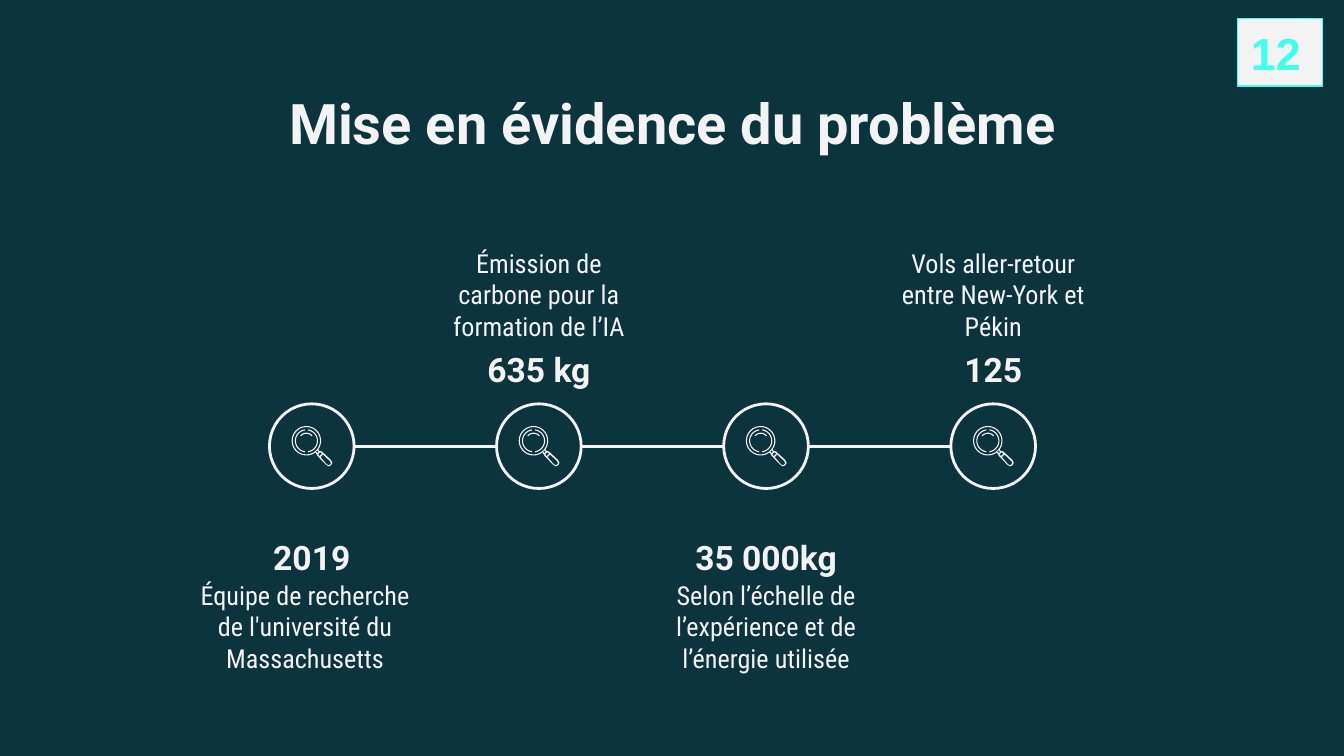
"""Build the timeline slide that presents the carbon cost of training AI."""
import dataclasses
import math

import pptx
import pptx.dml.color
import pptx.enum.shapes
import pptx.enum.text
import pptx.oxml
import pptx.util

Inches = pptx.util.Inches
Anchor = pptx.enum.text.MSO_ANCHOR
Align = pptx.enum.text.PP_ALIGN
Shape = pptx.enum.shapes.MSO_SHAPE


@dataclasses.dataclass(frozen=True)
class Theme:
    background = pptx.dml.color.RGBColor.from_string("0C343D")
    light = pptx.dml.color.RGBColor.from_string("F3F3F3")
    badge_line = pptx.dml.color.RGBColor.from_string("42FFEE")
    badge_text = pptx.dml.color.RGBColor.from_string("41FFED")
    heading_font = "Roboto"
    body_font = "Roboto Condensed"
    badge_font = "Arial"
    title_size = pptx.util.Pt(30)
    badge_size = pptx.util.Pt(24)
    figure_size = pptx.util.Pt(18)
    body_size = pptx.util.Pt(14)
    space_after = pptx.util.Pt(16)
    line_width = pptx.util.Pt(1.5)
    badge_line_width = pptx.util.Pt(0.75)


def write_text(shape, text, font, size, bold=True, color=Theme.light, align=Align.CENTER,
               anchor=Anchor.TOP, insets=(0.1, 0.1, 0.1, 0.1), space_after=None):
    frame = shape.text_frame
    frame.text = text
    frame.word_wrap = True
    frame.vertical_anchor = anchor
    frame.margin_left, frame.margin_top, frame.margin_right, frame.margin_bottom = map(Inches, insets)
    paragraph = frame.paragraphs[0]
    paragraph.alignment = align
    paragraph.space_after = space_after
    run_font = paragraph.runs[0].font
    run_font.name, run_font.size, run_font.bold = font, size, bold
    run_font.color.rgb = color


def arc(radius, start, end):
    angles = [math.radians(start + (end - start) * step / 24) for step in range(25)]
    return [(radius * math.cos(angle), radius * math.sin(angle)) for angle in angles]


presentation = pptx.Presentation()
presentation.slide_width = Inches(10)
presentation.slide_height = presentation.slide_width * 9 // 16
slide = presentation.slides.add_slide(presentation.slide_layouts[6])
slide.background.fill.solid()
slide.background.fill.fore_color.rgb = Theme.background

title = slide.shapes.add_textbox(Inches(0.79), Inches(0.56), Inches(8.43), Inches(0.63))
write_text(title, "Mise en évidence du problème", Theme.heading_font, Theme.title_size)

first_center, column = 2.32, 1.69
circle_size, axis = 0.63, 3.32
circle_top = axis - circle_size / 2
figure_width, figure_height = 1.81, 0.41
body_insets, figure_insets = (0.1, 0.1, 0.1, 0), (0.1, 0.28, 0.1, 0)
rows = {
    "above": (2.4, 1.46, 1.08, Anchor.BOTTOM),
    "below": (3.8, 4.21, 0.86, Anchor.TOP),
}
milestones = [
    ("2019", "Équipe de recherche de l'université du Massachusetts", "below", 1.81, -0.05),
    ("635 kg", "Émission de carbone pour la formation de l’IA", "above", 1.68, 0),
    ("35 000kg", "Selon l’échelle de l’expérience et de l’énergie utilisée", "below", 1.68, 0),
    ("125", "Vols aller-retour entre New-York et Pékin", "above", 1.68, 0),
]

handle = [(7.3, 9.6), (8.3, 11.3), (14.5, 17.8), (16.5, 19), (18.3, 18.3), (19.3, 16.5),
          (18.3, 14.3), (11.5, 8), (9.5, 7.5)]
neck = [(7.9, 7.1), (9.2, 8.3), (8.3, 9.2), (7.1, 7.9)]
ferrule = [(10.4, 8.5), (11.6, 9.6), (9.8, 11.5), (8.7, 10)]
grip = [(12.3, 10.2), (17.6, 15.2), (18.2, 16.7), (17.6, 17.7), (16.5, 18.2), (15, 17.4), (10.5, 12.2)]
magnifier = [
    [arc(6, 220, 320) + arc(5.2, 320, 220)],
    [arc(11, 52, 396)[::-1] + handle, arc(10.2, 0, 360), neck, ferrule, grip],
    [arc(8.6, -82, 82) + arc(7.8, 82, -82)],
    [arc(8.6, 98, 262) + arc(7.8, 262, 98)],
]

for index, (figure, description, row, body_width, body_shift) in enumerate(milestones):
    center = first_center + index * column
    figure_top, body_top, body_height, body_anchor = rows[row]

    body = slide.shapes.add_textbox(Inches(center + body_shift - body_width / 2), Inches(body_top),
                                    Inches(body_width), Inches(body_height))
    write_text(body, description, Theme.body_font, Theme.body_size, bold=False, anchor=body_anchor,
               insets=body_insets, space_after=Theme.space_after)

    figure_box = slide.shapes.add_textbox(Inches(center - figure_width / 2), Inches(figure_top),
                                          Inches(figure_width), Inches(figure_height))
    write_text(figure_box, figure, Theme.heading_font, Theme.figure_size, anchor=Anchor.MIDDLE,
               insets=figure_insets, space_after=Theme.space_after)

    circle = slide.shapes.add_shape(Shape.OVAL, Inches(center - circle_size / 2), Inches(circle_top),
                                    Inches(circle_size), Inches(circle_size))
    circle.shadow.inherit = False
    circle.fill.background()
    circle.line.color.rgb = Theme.light
    circle.line.width = Theme.line_width

    if index:
        link = slide.shapes.add_connector(
            pptx.enum.shapes.MSO_CONNECTOR.STRAIGHT,
            Inches(center - column + circle_size / 2), Inches(axis),
            Inches(center - circle_size / 2), Inches(axis))
        link.line.color.rgb = Theme.light
        link.line.width = Theme.line_width
        link._element.spPr.append(pptx.oxml.parse_xml(
            '<a:effectLst xmlns:a="http://schemas.openxmlformats.org/drawingml/2006/main"/>'))

    icon = slide.shapes.add_group_shape()
    for contours in magnifier:
        placed = [[(Inches(center - 0.04 + x / 100), Inches(axis - 0.04 + y / 100)) for x, y in contour]
                  for contour in contours]
        builder = icon.shapes.build_freeform(*placed[0][0])
        builder.add_line_segments(placed[0][1:])
        for hole in placed[1:]:
            builder.move_to(*hole[0])
            builder.add_line_segments(hole[1:])
        part = builder.convert_to_shape()
        part.shadow.inherit = False
        part.fill.solid()
        part.fill.fore_color.rgb = Theme.light
        part.line.fill.background()

badge = slide.shapes.add_shape(Shape.RECTANGLE, Inches(9.21), Inches(0.14), Inches(0.63), Inches(0.5))
badge.shadow.inherit = False
badge.fill.solid()
badge.fill.fore_color.rgb = Theme.light
badge.line.color.rgb = Theme.badge_line
badge.line.width = Theme.badge_line_width
write_text(badge, "12", Theme.badge_font, Theme.badge_size, color=Theme.badge_text,
           align=Align.LEFT, insets=(0.1, 0.05, 0.1, 0.05))
badge.text_frame.auto_size = pptx.enum.text.MSO_AUTO_SIZE.SHAPE_TO_FIT_TEXT

presentation.save("out.pptx")
